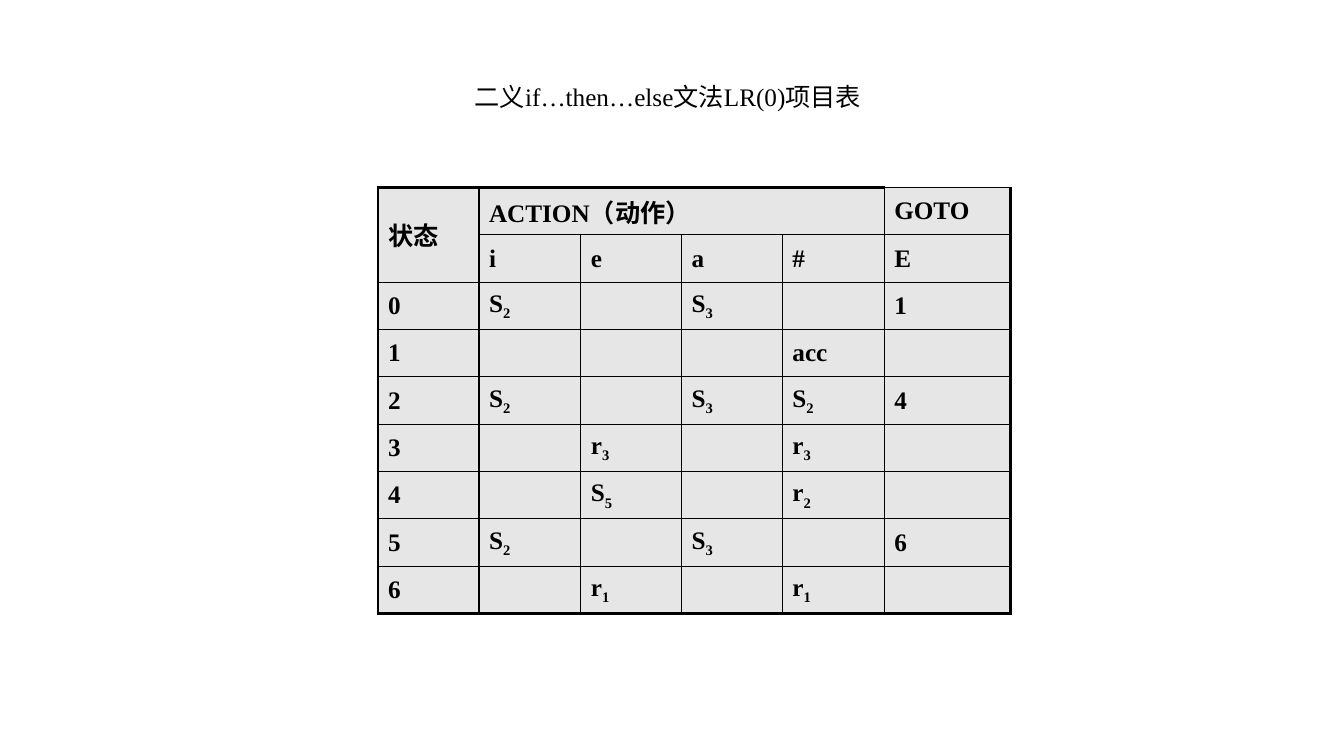
from dataclasses import dataclass

from lxml import etree
from pptx import Presentation
from pptx import util as u
from pptx.dml.color import RGBColor
from pptx.enum import text
from pptx.oxml.ns import qn


@dataclass(frozen=True)
class Theme:
    font: str = "Times New Roman"
    size: int = 18
    ink: str = "000000"
    cell_fill: str = "E7E6E6"
    thin: float = 1
    thick: float = 2.25


@dataclass(frozen=True)
class State:
    number: str
    i: str = ""
    e: str = ""
    a: str = ""
    end: str = ""
    goto: str = ""

    def cells(self) -> list[str]:
        return [self.number, self.i, self.e, self.a, self.end, self.goto]


THEME = Theme()
STATES = [
    State("0", i="S2", a="S3", goto="1"),
    State("1", end="acc"),
    State("2", i="S2", a="S3", end="S2", goto="4"),
    State("3", e="r3", end="r3"),
    State("4", e="S5", end="r2"),
    State("5", i="S2", a="S3", goto="6"),
    State("6", e="r1", end="r1"),
]
ROWS = [
    ["状态", "ACTION（动作）", "", "", "", "GOTO"],
    ["", "i", "e", "a", "#", "E"],
    *(state.cells() for state in STATES),
]
COL_WIDTHS = [1, 1.01, 1, 1, 1.01, 1.25]
ROW_HEIGHT = 0.47


def add_text(p, content: str, *, bold: bool = False, baseline: int = 0) -> None:
    """Append a run; baseline is a percentage, negative for a subscript."""
    r = p.add_run()
    r.text = content
    r.font.name = THEME.font
    r.font.size = u.Pt(THEME.size)
    r.font.bold = bold
    r.font.color.rgb = RGBColor.from_string(THEME.ink)
    if baseline:
        r.font._element.set("baseline", str(baseline * 1000))


def set_borders(cell, widths: dict[str, float]) -> None:
    """Draw cell sides, keyed L, R, T and B, ahead of the fill."""
    tcPr = cell._tc.get_or_add_tcPr()
    for index, (side, width) in enumerate(widths.items()):
        ln = etree.Element(qn(f"a:ln{side}"), w=str(u.Pt(width)))
        fill = etree.SubElement(ln, qn("a:solidFill"))
        etree.SubElement(fill, qn("a:srgbClr"), val=THEME.ink)
        tcPr.insert(index, ln)


def fill_cell(cell, content: str) -> None:
    cell.fill.solid()
    cell.fill.fore_color.rgb = RGBColor.from_string(THEME.cell_fill)
    cell.vertical_anchor = text.MSO_ANCHOR.MIDDLE
    p = cell.text_frame.paragraphs[0]
    if len(content) == 2 and content[0] in "Sr":
        add_text(p, content[0], bold=True)
        add_text(p, content[1], bold=True, baseline=-25)
    elif content:
        add_text(p, content, bold=True)


def add_parse_table(s) -> None:
    last_row, last_col = len(ROWS) - 1, len(COL_WIDTHS) - 1
    frame = s.shapes.add_table(
        len(ROWS), len(COL_WIDTHS), u.Inches(3.75), u.Inches(1.86),
        u.Inches(sum(COL_WIDTHS)), u.Inches(ROW_HEIGHT * len(ROWS)))
    table = frame.table
    for column, width in zip(table.columns, COL_WIDTHS):
        column.width = u.Inches(width)
    for row in table.rows:
        row.height = u.Inches(ROW_HEIGHT)

    for y, row in enumerate(ROWS):
        for x, content in enumerate(row):
            cell = table.cell(y, x)
            fill_cell(cell, content)
            outer = {
                "L": x == 0,
                "R": x == last_col,
                "T": y == 0 and x < last_col,
                "B": y == last_row,
            }
            set_borders(cell, {side: THEME.thick if edge else THEME.thin
                               for side, edge in outer.items()})
    table.cell(0, 0).merge(table.cell(1, 0))
    table.cell(0, 1).merge(table.cell(0, 4))


def add_title(s) -> None:
    sp = s.shapes.add_textbox(u.Inches(3.83), u.Inches(0.76),
                              u.Inches(5.59), u.Inches(0.4))
    tf = sp.text_frame
    tf.word_wrap = True
    tf.auto_size = text.MSO_AUTO_SIZE.SHAPE_TO_FIT_TEXT
    p = tf.paragraphs[0]
    p.alignment = text.PP_ALIGN.CENTER
    add_text(p, "二义if…then…else文法LR(0)项目表")


def main() -> None:
    prs = Presentation()
    prs.slide_width, prs.slide_height = u.Inches(13.33), u.Inches(7.5)
    s = prs.slides.add_slide(prs.slide_layouts[6])
    add_parse_table(s)
    add_title(s)
    prs.save("out.pptx")


if __name__ == "__main__":
    main()
